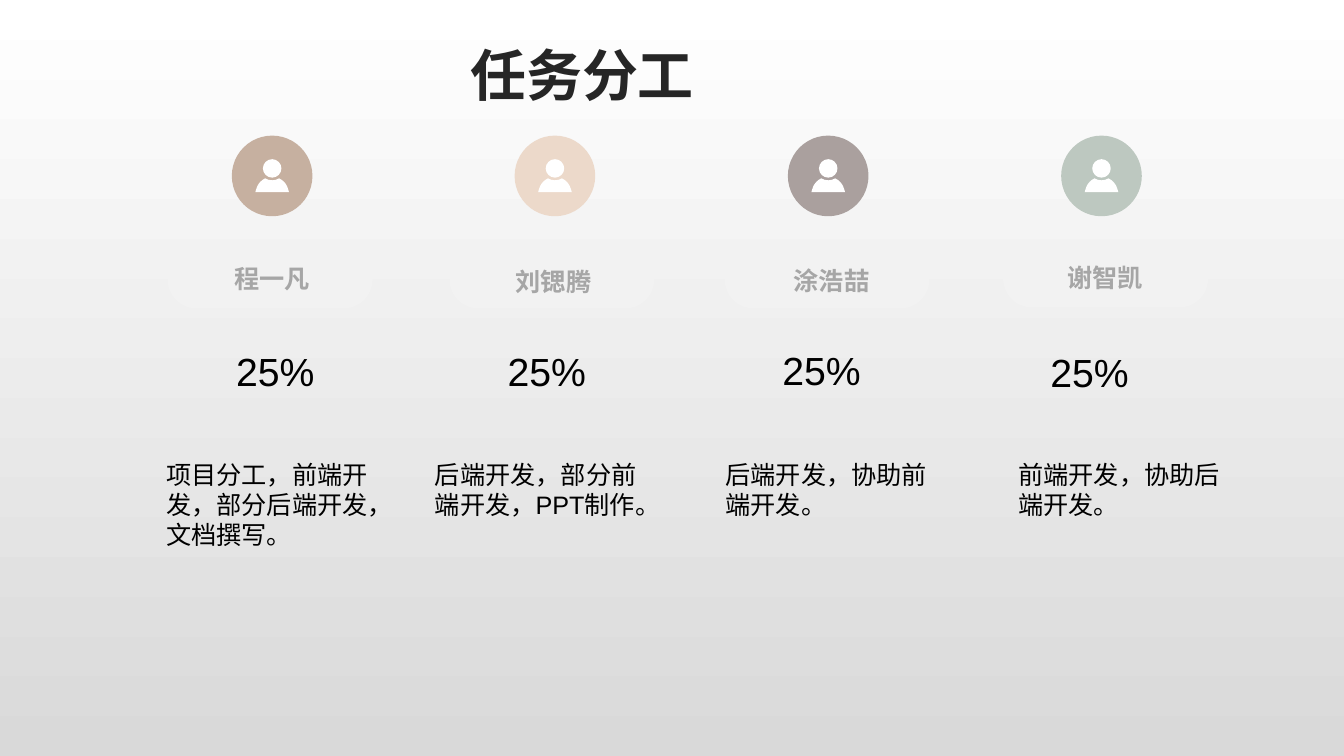
from dataclasses import dataclass

from lxml import etree
from pptx import Presentation
from pptx.dml.color import RGBColor
from pptx.enum.shapes import MSO_SHAPE
from pptx.enum.text import MSO_ANCHOR, MSO_AUTO_SIZE, PP_ALIGN
from pptx.oxml.ns import qn
from pptx.util import Pt

ELLIPSE = MSO_SHAPE.OVAL
PILL = MSO_SHAPE.ROUNDED_RECTANGLE
LEFT, CENTER, JUSTIFY = PP_ALIGN.LEFT, PP_ALIGN.CENTER, PP_ALIGN.JUSTIFY
MIDDLE = MSO_ANCHOR.MIDDLE
GROW = MSO_AUTO_SIZE.SHAPE_TO_FIT_TEXT

Point = tuple[float, float]


@dataclass(frozen=True)
class Style:
    size: float
    color: str
    font: str
    bold: bool = False


@dataclass(frozen=True)
class Theme:
    background: tuple[str, str] = ("FFFFFF", "D9D9D9")
    person: str = "FFFFFF"
    name_pill: str = "F2F2F2"
    east_asian: str = "Noto Sans CJK SC"
    title: Style = Style(40, "262626", "Noto Sans CJK SC", True)
    name: Style = Style(18, "A6A6A6", "Noto Sans CJK SC", True)
    share: Style = Style(28, "000000", "Arial")
    task: Style = Style(18, "000000", "Arial")


@dataclass(frozen=True)
class Box:
    left: float
    top: float
    width: float
    height: float

    def lengths(self) -> tuple[Pt, Pt, Pt, Pt]:
        return Pt(self.left), Pt(self.top), Pt(self.width), Pt(self.height)


@dataclass(frozen=True)
class Contour:
    """A start and cubic curves, each as two control points and an end."""
    start: Point
    curves: list[tuple[Point, Point, Point]]


@dataclass(frozen=True)
class Member:
    name: str
    task: str
    color: str
    badge_left: float
    pill: Box
    name_box: Box
    share_box: Box
    task_box: Box
    share: str = "25%"


THEME = Theme()
BADGE_TOP, BADGE_SIZE, PERSON_SIZE = 96.9, 57.6, 24
HEAD = Contour((5.4, 6.6), [
    ((5.4, 3), (8.4, 0), (12, 0)), ((15.6, 0), (18.6, 3), (18.6, 6.6)),
    ((18.6, 10.2), (15.6, 13.2), (12, 13.2)), ((8.4, 13.2), (5.4, 10.2), (5.4, 6.6))])
TORSO = Contour((0, 23.6), [
    ((0.4, 22.3), (1, 16.6), (7, 13.7)), ((8.5, 14.6), (10.2, 15.1), (12, 15.1)),
    ((13.8, 15.1), (15.5, 14.6), (17, 13.7)), ((23, 16.6), (23.6, 22.3), (24, 23.6))])
MEMBERS = [
    Member("程一凡", "项目分工，前端开发，部分后端开发，文档撰写。", "C6B0A0", 165.6,
           Box(119.7, 179.3, 146.4, 41), Box(123.1, 179.3, 142.6, 39.6),
           Box(120, 244.5, 153.4, 44.6), Box(111.6, 324.3, 173.5, 72.7)),
    Member("刘锶腾", "后端开发，部分前端开发，PPT制作。", "ECD9CA", 367.6,
           Box(321.1, 179.3, 146.2, 41), Box(324, 180.7, 142.6, 41),
           Box(313.9, 244.5, 153.4, 44.6), Box(303.5, 324.3, 173.5, 51)),
    Member(" 涂浩喆", "后端开发，协助前端开发。", "AAA09E", 562.8,
           Box(517.7, 179.3, 146.2, 41), Box(520.6, 180.7, 142.6, 39.6),
           Box(510.1, 243.9, 153.4, 44.6), Box(511.2, 324.3, 173.5, 51)),
    Member("谢智凯 ", "前端开发，协助后端开发。", "BDC8C0", 758,
           Box(716.5, 178.6, 146.4, 41), Box(720, 178.6, 142.6, 39.6),
           Box(701.6, 245.2, 153.4, 44.6), Box(720.3, 324.3, 173.5, 51)),
]


def paint(shape, color: str | None) -> None:
    shape.shadow.inherit = False
    shape.line.fill.background()
    if color:
        shape.fill.solid()
        shape.fill.fore_color.rgb = RGBColor.from_string(color)
    else:
        shape.fill.background()


def write(frame, text: str, style: Style, align: PP_ALIGN) -> None:
    frame.word_wrap = True
    paragraph = frame.paragraphs[0]
    paragraph.alignment = align
    run = paragraph.add_run()
    run.text = text
    font = run.font
    font.size, font.bold, font.name = Pt(style.size), style.bold, style.font
    font.color.rgb = RGBColor.from_string(style.color)
    east_asian = etree.SubElement(run._r.get_or_add_rPr(), qn("a:ea"))
    east_asian.set("typeface", THEME.east_asian)


def add_pill(slide, box: Box, color: str | None = None):
    pill = slide.shapes.add_shape(PILL, *box.lengths())
    pill.adjustments[0] = 0.5
    paint(pill, color)
    return pill


def add_pill_text(slide, box: Box, text: str, style: Style, align: PP_ALIGN) -> None:
    frame = add_pill(slide, box).text_frame
    frame.vertical_anchor = MIDDLE
    write(frame, text, style, align)


def add_text(slide, box: Box, text: str, style: Style, align: PP_ALIGN):
    frame = slide.shapes.add_textbox(*box.lengths()).text_frame
    write(frame, text, style, align)
    return frame


def add_person(slide, left: float, top: float) -> None:
    def place(point: Point) -> tuple[Pt, Pt]:
        return Pt(left + point[0]), Pt(top + point[1])

    outline = slide.shapes.build_freeform(*place(HEAD.start))
    for contour in (HEAD, TORSO):
        if contour is TORSO:
            outline.move_to(*place(contour.start))
        outline.add_line_segments([place(end) for *_, end in contour.curves], close=True)
    person = outline.convert_to_shape()
    paint(person, THEME.person)

    # Bend each segment into its cubic curve
    segments = list(person._element.iter(qn("a:lnTo")))
    for segment, (first, second, _) in zip(segments, HEAD.curves + TORSO.curves):
        segment.tag = qn("a:cubicBezTo")
        for index, control in enumerate((first, second)):
            point = etree.Element(qn("a:pt"))
            point.set("x", str(Pt(control[0])))
            point.set("y", str(Pt(control[1])))
            segment.insert(index, point)


def add_badge(slide, left: float, color: str) -> None:
    circle = Box(left, BADGE_TOP, BADGE_SIZE, BADGE_SIZE)
    paint(slide.shapes.add_shape(ELLIPSE, *circle.lengths()), color)
    inset = (BADGE_SIZE - PERSON_SIZE) / 2
    add_person(slide, left + inset, BADGE_TOP + inset)


def main() -> None:
    deck = Presentation()
    deck.slide_width, deck.slide_height = Pt(960), Pt(540)
    slide = deck.slides.add_slide(deck.slide_layouts[6])

    # Background fading downwards
    backdrop = slide.background.fill
    backdrop.gradient()
    backdrop.gradient_angle = 270
    for stop, color in zip(backdrop.gradient_stops, THEME.background):
        stop.color.rgb = RGBColor.from_string(color)

    # Badges and name pills
    for member in MEMBERS:
        add_badge(slide, member.badge_left, member.color)
        add_pill(slide, member.pill, THEME.name_pill)

    # Names
    for member in MEMBERS:
        add_pill_text(slide, member.name_box, member.name, THEME.name, CENTER)

    # Title
    add_pill_text(slide, Box(313.2, 0, 332.6, 106.2), "任务分工", THEME.title, JUSTIFY)

    # Shares and tasks
    for member in MEMBERS:
        add_text(slide, member.share_box, member.share, THEME.share, CENTER)
        task = add_text(slide, member.task_box, member.task, THEME.task, LEFT)
        task.auto_size = GROW

    deck.save("out.pptx")


if __name__ == "__main__":
    main()
